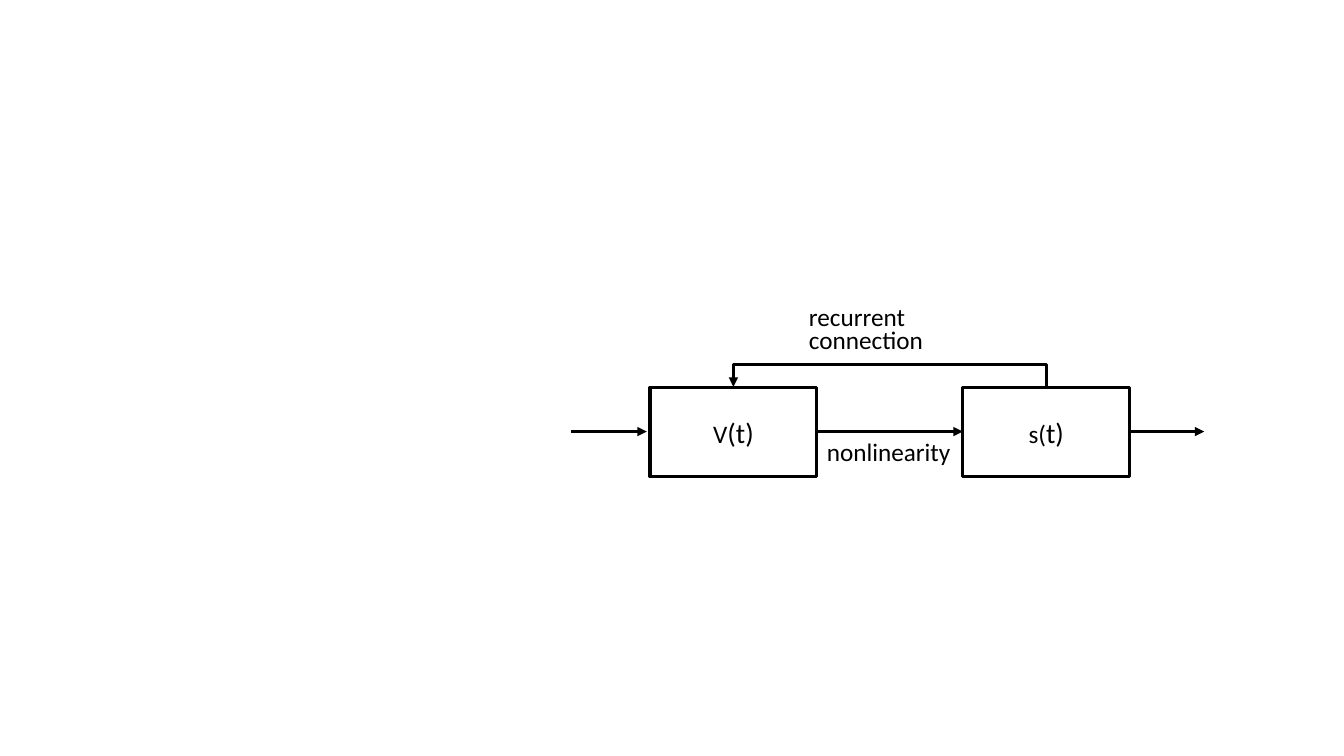
from lxml.etree import SubElement
from pptx import Presentation
from pptx.dml.color import RGBColor
from pptx.enum.shapes import MSO_CONNECTOR as LINK, MSO_SHAPE
from pptx.enum.text import MSO_ANCHOR, PP_ALIGN
from pptx.oxml.ns import qn
from pptx.util import Pt

PX = 9525
COLORS = {"ink": "000000"}
BOX_W, BOX_H, BOX_TOP = 159, 85, 369
V_LEFT, S_LEFT = 619, 917
FLOW_Y = 411
LOOP_RISE = 23


class Diagram:
    font = "Calibri"
    line_width = Pt(2.25)

    def __init__(self, slide):
        self.shapes = slide.shapes
        self.ink = RGBColor.from_string(COLORS["ink"])

    def stroke(self, line):
        line.color.rgb = self.ink
        line.width = self.line_width

    def set_text(self, frame, runs, **paragraph_format):
        """Fill the frame with one paragraph of (text, size) runs."""
        frame.word_wrap = True
        frame.vertical_anchor = MSO_ANCHOR.MIDDLE
        paragraph = frame.paragraphs[0]
        for name, value in paragraph_format.items():
            setattr(paragraph, name, value)
        for text, size in runs:
            run = paragraph.add_run()
            run.text = text
            for name, value in {"name": self.font, "size": Pt(size)}.items():
                setattr(run.font, name, value)
            run.font.color.rgb = self.ink

    def block(self, left, runs):
        bounds = (v * PX for v in (left, BOX_TOP, BOX_W, BOX_H))
        block = self.shapes.add_shape(MSO_SHAPE.RECTANGLE, *bounds)
        block.shadow.inherit = False
        block.fill.background()
        self.stroke(block.line)
        self.set_text(block.text_frame, runs, alignment=PP_ALIGN.CENTER)

    def label(self, left, top, text):
        bounds = (v * PX for v in (left, top, 173, 62))
        label = self.shapes.add_textbox(*bounds)
        self.set_text(label.text_frame, [(text, 18)], line_spacing=Pt(16))

    def arrow(self, x1, y1, x2, y2, kind=LINK.STRAIGHT):
        ends = (v * PX for v in (x1, y1, x2, y2))
        arrow = self.shapes.add_connector(kind, *ends)
        self.stroke(arrow.line)
        properties = arrow._element.spPr
        SubElement(properties.find(qn("a:ln")), qn("a:tailEnd"), type="triangle")
        SubElement(properties, qn("a:effectLst"))
        return properties

    def feedback(self, x_from, x_to, y, rise):
        """Elbow arrow up, across and down, made by a quarter turn."""
        span = x_from - x_to
        middle = (x_from + x_to) // 2
        properties = self.arrow(middle, y + span // 2, middle + 1,
                                y - span // 2, LINK.ELBOW)
        properties.find(qn("a:xfrm")).set("rot", str(270 * 60000))
        geometry = properties.find(qn("a:prstGeom"))
        adjustments = geometry.find(qn("a:avLst"))
        if adjustments is None:
            adjustments = SubElement(geometry, qn("a:avLst"))
        SubElement(adjustments, qn("a:gd"), name="adj1",
                   fmla=f"val {rise * 100000}")


def main():
    presentation = Presentation()
    presentation.slide_width = 1280 * PX
    presentation.slide_height = 720 * PX
    blank = presentation.slide_layouts[6]
    diagram = Diagram(presentation.slides.add_slide(blank))

    diagram.block(V_LEFT, [("V", 18), ("(t)", 20)])
    diagram.block(S_LEFT, [("s(", 18), ("t)", 20)])

    v_right, s_right = V_LEFT + BOX_W, S_LEFT + BOX_W
    for start, end in ((544, 616), (v_right, S_LEFT), (s_right, 1147)):
        diagram.arrow(start, FLOW_Y, end, FLOW_Y)
    half = BOX_W // 2
    diagram.feedback(S_LEFT + half, V_LEFT + half, BOX_TOP, LOOP_RISE)

    diagram.label(761, 285, "recurrent connection")
    diagram.label(v_right, 403, "nonlinearity")
    presentation.save("out.pptx")


if __name__ == "__main__":
    main()
